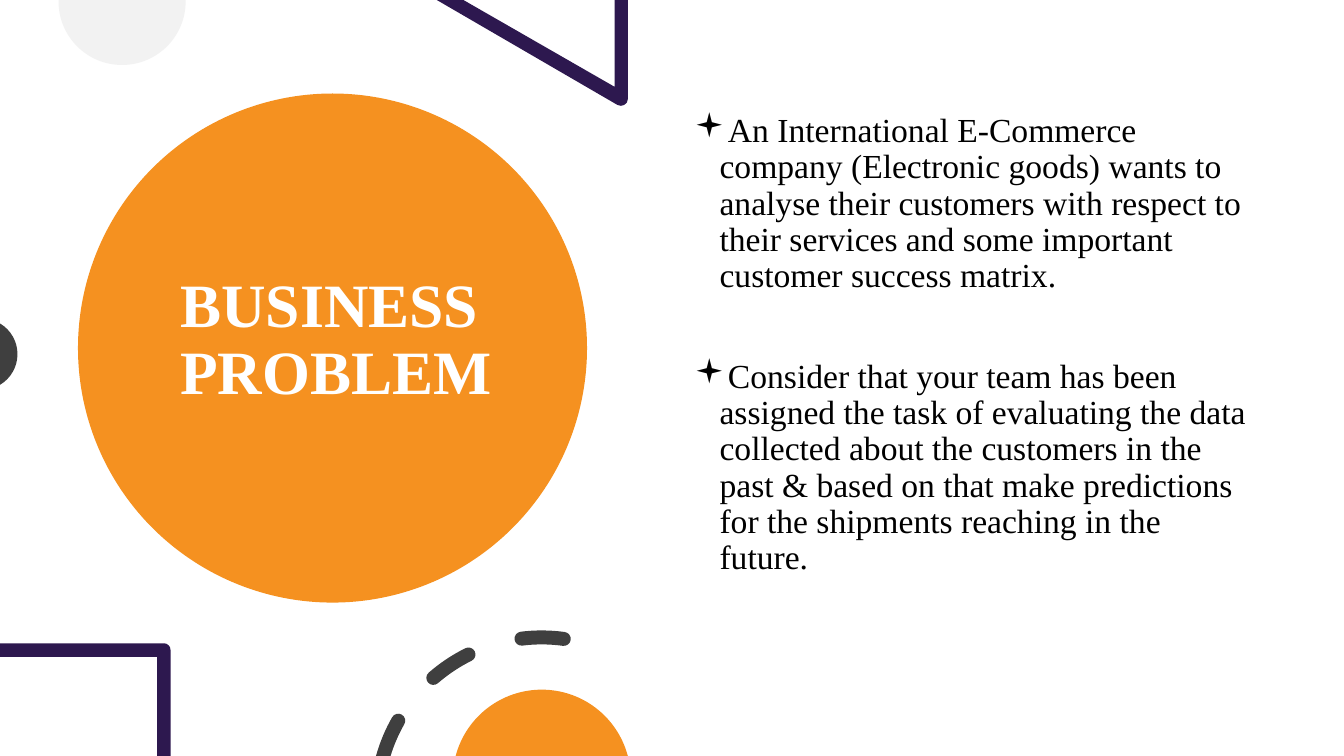
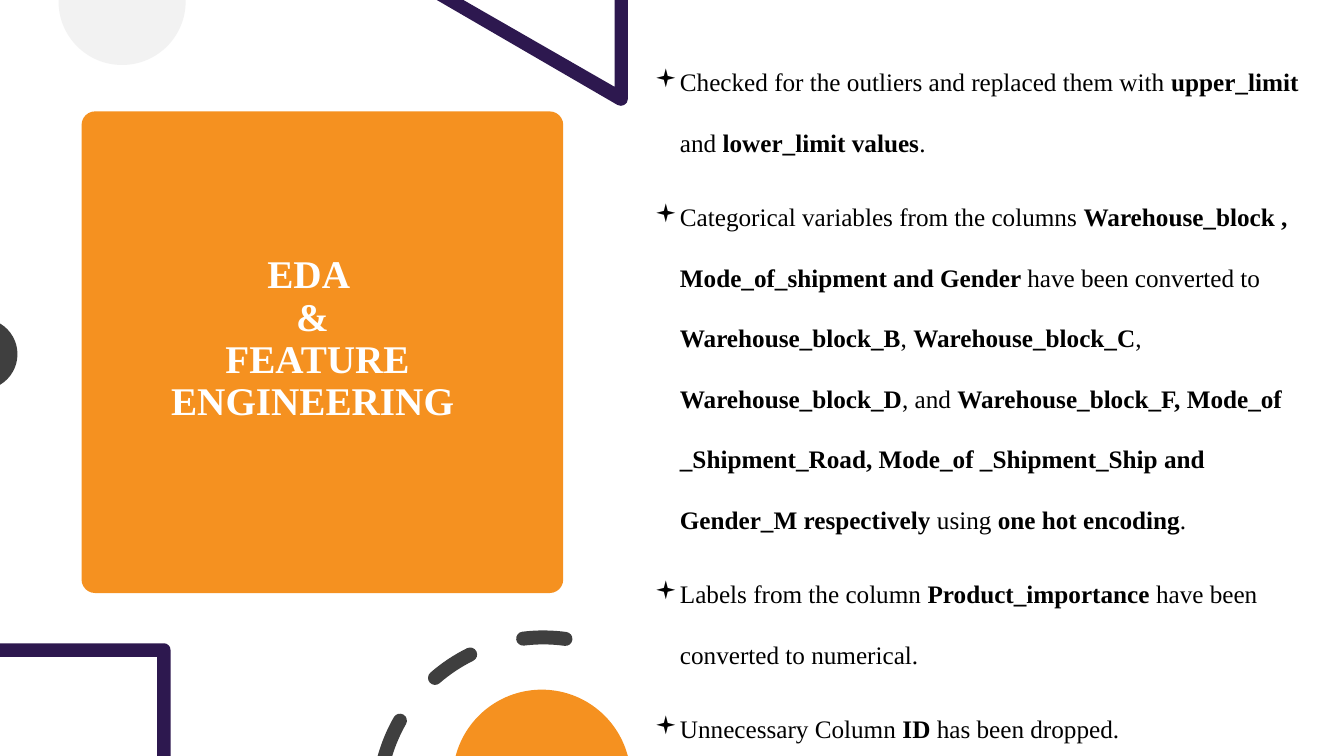
from math import asin, cos, degrees, radians, sin, tan
from lxml.etree import SubElement as Sub
from pptx import Presentation
from pptx.dml.color import RGBColor as RGB
from pptx.enum.shapes import MSO_SHAPE as Form
from pptx.enum.text import MSO_ANCHOR as Anchor, PP_ALIGN as Align
from pptx.oxml.ns import qn
from pptx.util import Pt

ORANGE = RGB(0xF5, 0x91, 0x20)
PURPLE = RGB(0x2D, 0x18, 0x4F)
DARK = RGB(0x3F, 0x3F, 0x3F)
PALE = RGB(0xF2, 0xF2, 0xF2)
WHITE = RGB(0xFF, 0xFF, 0xFF)
BLACK = RGB(0, 0, 0)
FONT = "Times New Roman"
WIDE, HIGH = 960, 540


def arc(x, y, r, start, end, steps=1):
    turn = radians(end - start) / steps
    k = 4 / 3 * tan(turn / 4)
    a = radians(start)
    path = [[(x + r * cos(a), y + r * sin(a))]]
    for _ in range(steps):
        b = a + turn
        path.append([(x + r * (cos(a) - k * sin(a)), y + r * (sin(a) + k * cos(a))),
                     (x + r * (cos(b) + k * sin(b)), y + r * (sin(b) - k * cos(b))),
                     (x + r * cos(b), y + r * sin(b))])
        a = b
    return path


def lines(*dots):
    return [[dot] for dot in dots]


def dash(x, y, r, start, end, half=5):
    def spot(turn):
        return x + r * cos(radians(turn)), y + r * sin(radians(turn))

    def edge(r):
        return degrees(asin((y - HIGH) / r)) - 180 if cut else start

    cut = spot(start)[1] > HIGH
    path = (arc(x, y, r + half, edge(r + half), end)
            + arc(*spot(end), half, end, end + 180, 2)[1:]
            + arc(x, y, r - half, end, edge(r - half))[1:])
    if not cut:
        path += arc(*spot(start), half, start + 180, start + 360, 2)[1:]
    return path


class Deck:
    """Holds the shared style and the current slide."""

    def __init__(self):
        self.file = Presentation()
        self.file.slide_width, self.file.slide_height = Pt(WIDE), Pt(HIGH)

    def page(self):
        self.slide = self.file.slides.add_slide(self.file.slide_layouts[6])

    def paint(self, shape, color):
        shape.shadow.inherit = False
        shape.fill.solid()
        shape.fill.fore_color.rgb = color
        shape.line.fill.background()

    def card(self, form, x, y, size, bend=None):
        shape = self.slide.shapes.add_shape(form, Pt(x), Pt(y), Pt(size), Pt(size))
        if bend:
            shape.adjustments[0] = bend
        self.paint(shape, ORANGE)

    def shape(self, color, *loops):
        pen = None
        for loop in loops:
            dots = [(Pt(x), Pt(y)) for part in loop for x, y in part]
            if pen is None:
                pen = self.slide.shapes.build_freeform(*dots[0], scale=1.0)
            else:
                pen.move_to(*dots[0])
            pen.add_line_segments(dots[1:], close=True)
        shape = pen.convert_to_shape()
        self.bend(shape, [part for loop in loops for part in loop[1:]])
        self.paint(shape, color)

    def bend(self, shape, parts):
        nodes = iter(list(shape._element.iter(qn("a:lnTo"))))
        for part in parts:
            first, *rest = [next(nodes) for _ in part]
            if rest:
                first.tag = qn("a:cubicBezTo")
            for node in rest:
                first.append(node[0])
                node.getparent().remove(node)

    def decor(self, shift=0):
        self.shape(PALE, lines((132.5, 0), (41.8, 0)) + arc(87.2, 1, 45.4, 180, 0, 2))
        self.shape(PURPLE, lines((448.5, 0), (439, 0), (439, 62), (331, 0), (312, 0))
                   + arc(443.5, 70.6, 5, 120, 0, 2))
        self.shape(DARK, arc(-13, 253, 25.5, -59, 59, 2))
        self.shape(PURPLE, lines((0, 459.5)) + arc(117, 464.3, 4.8, -90, 0)
                   + lines((121.8, HIGH), (112.2, HIGH), (112.2, 469.2), (0, 469.2)))
        starts = [-97 - 34 * i for i in range(3)]
        self.shape(DARK, *[dash(386.9 + shift, 573.2, 117.9, s, s + 14.7)
                           for s in starts])
        self.shape(ORANGE, arc(387, 556.2, 63.6, -165.2, -14.8, 2))

    def box(self, x, y, w, h):
        frame = self.slide.shapes.add_textbox(Pt(x), Pt(y), Pt(w), Pt(h)).text_frame
        frame.word_wrap = True
        return frame

    def style(self, run, size, color, bold):
        font = run.font
        font.name, font.size, font.bold = FONT, Pt(size), bold
        font.color.rgb = color

    def title(self, text, size, align, *place):
        frame = self.box(*place)
        frame.vertical_anchor = Anchor.MIDDLE
        para = frame.paragraphs[0]
        para.text = text
        para.alignment, para.line_spacing = align, 0.9
        for run in para.runs:
            self.style(run, size, WHITE, True)

    def points(self, items, size, lead, gap, *place):
        frame = self.box(*place)
        for i, item in enumerate(items):
            para = frame.add_paragraph() if i else frame.paragraphs[0]
            props = para._p.get_or_add_pPr()
            props.set("marL", str(Pt(18)))
            props.set("indent", str(-Pt(18)))
            Sub(props, qn("a:buFont")).set("typeface", "Wingdings")
            Sub(props, qn("a:buChar")).set("char", "▪")
            para.line_spacing = lead
            if i:
                para.space_before = Pt(gap)
            for j, part in enumerate(item.split("*")):
                if part:
                    run = para.add_run()
                    run.text = part
                    self.style(run, size, BLACK, j % 2 == 1)


def main():
    deck = Deck()

    deck.page()
    deck.card(Form.OVAL, 55.7, 66.8, 363.6)
    deck.title("BUSINESS PROBLEM", 44, Align.LEFT, 121.8, 83.5, 255, 320.4)
    deck.decor()
    deck.points([
        "An International E-Commerce company (Electronic goods) wants to analyse "
        "their customers with respect to their services and some important "
        "customer success matrix.",
        "Consider that your team has been assigned the task of evaluating the data "
        "collected about the customers in the past & based on that make "
        "predictions for the shipments reaching in the future.",
    ], 24, 0.9, 46, 488.9, 77.5, 414, 385)

    deck.page()
    deck.card(Form.ROUNDED_RECTANGLE, 58.3, 79.6, 344, 0.028)
    deck.title("EDA \v&\v FEATURE ENGINEERING", 28, Align.CENTER,
               44, 78.5, 358.5, 328.3)
    deck.decor(1.2)
    deck.points([
        "Checked for the outliers and replaced them with *upper_limit *and "
        "*lower_limit values*.",
        "Categorical variables from the columns *Warehouse_block , "
        "Mode_of_shipment and Gender *have been converted to *Warehouse_block_B*, "
        "*Warehouse_block_C*, *Warehouse_block_D*, and *Warehouse_block_F, "
        "Mode_of _Shipment_Road, Mode_of _Shipment_Ship and Gender_M "
        "respectively *using* one hot encoding*.",
        "Labels from the column *Product_importance *have been converted to "
        "numerical.",
        "Unnecessary Column *ID* has been dropped.",
    ], 18, 2, 10, 460.6, 22.6, 487.5, 383.8)

    deck.file.save("out.pptx")


if __name__ == "__main__":
    main()
